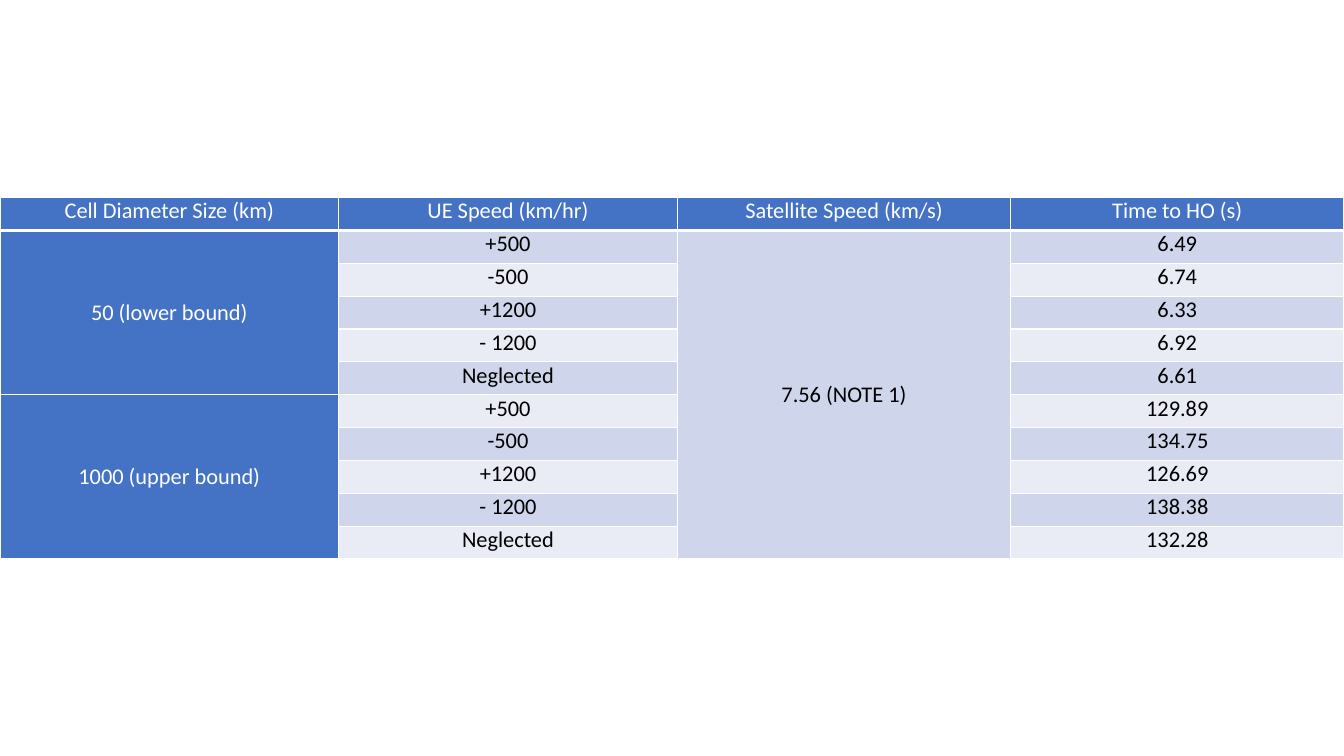
from lxml.etree import SubElement
from pptx import Presentation
from pptx.dml.color import RGBColor
from pptx.enum.text import MSO_ANCHOR, PP_ALIGN
from pptx.oxml.ns import qn
from pptx.util import Inches, Pt

WHITE = RGBColor(0xFF, 0xFF, 0xFF)
BLACK = RGBColor(0, 0, 0)
BLUE = RGBColor(0x44, 0x72, 0xC4)
BAND_DARK = RGBColor(0xCF, 0xD5, 0xEA)
BAND_LIGHT = RGBColor(0xE9, 0xEB, 0xF5)

HEADERS = ["Cell Diameter Size (km)", "UE Speed (km/hr)", "Satellite Speed (km/s)", "Time to HO (s)"]
UE_SPEEDS = ["+500", "-500", "+1200", "- 1200", "Neglected"]
HANDOVER_TIMES = {
    "50 (lower bound)": ["6.49", "6.74", "6.33", "6.92", "6.61"],
    "1000 (upper bound)": ["129.89", "134.75", "126.69", "138.38", "132.28"],
}
SATELLITE_SPEED = "7.56 (NOTE 1)"
COLUMN_SHARES = [0.252, 0.252, 0.248, 0.248]


def write_text(cell, text, color=BLACK, size=16, font="Calibri", anchor=MSO_ANCHOR.TOP, inset=(0.14, 0)):
    """Write centred text into a cell with the given format."""
    cell.margin_left = cell.margin_right = Inches(inset[0])
    cell.margin_top = cell.margin_bottom = Inches(inset[1])
    cell.vertical_anchor = anchor
    paragraph = cell.text_frame.paragraphs[0]
    paragraph.alignment = PP_ALIGN.CENTER
    run = paragraph.add_run()
    run.text = text
    run.font.name = font
    run.font.size = Pt(size)
    run.font.bold = False
    run.font.color.rgb = color


def style_cell(cell, fill, bottom_width=1):
    """Give a cell white borders and a solid fill."""
    properties = cell._tc.get_or_add_tcPr()
    for side, width in (("L", 1), ("R", 1), ("T", 1), ("B", bottom_width)):
        line = SubElement(properties, qn(f"a:ln{side}"), w=str(Pt(width)))
        SubElement(SubElement(line, qn("a:solidFill")), qn("a:srgbClr"), val=str(WHITE))
    cell.fill.solid()
    cell.fill.fore_color.rgb = fill


def merge_down(table, row, column, count, text, color):
    """Merge cells downwards and label the merged cell in its middle."""
    cell = table.cell(row, column)
    cell.merge(table.cell(row + count - 1, column))
    write_text(cell, text, color=color, anchor=MSO_ANCHOR.MIDDLE, inset=(0.19, 0.1))


def add_handover_table(slide, left, top, width, height):
    """Place the handover time table in the given box."""
    group_size = len(UE_SPEEDS)
    body_rows = group_size * len(HANDOVER_TIMES)
    table = slide.shapes.add_table(body_rows + 1, len(HEADERS), left, top, width, height).table
    for column, share in zip(table.columns, COLUMN_SHARES):
        column.width = int(width * share)
    for row in table.rows:
        row.height = int(height / (body_rows + 1))

    for column, header in enumerate(HEADERS):
        style_cell(table.cell(0, column), BLUE, bottom_width=3)
        write_text(table.cell(0, column), header, color=WHITE)
    for row in range(1, body_rows + 1):
        band = BAND_DARK if row % 2 else BAND_LIGHT
        for column, fill in enumerate([BLUE, band, BAND_DARK, band]):
            style_cell(table.cell(row, column), fill)

    for group, (diameter, times) in enumerate(HANDOVER_TIMES.items()):
        first_row = 1 + group * group_size
        merge_down(table, first_row, 0, group_size, diameter, WHITE)
        for row, (speed, time) in enumerate(zip(UE_SPEEDS, times), first_row):
            write_text(table.cell(row, 1), speed)
            write_text(table.cell(row, 3), time)
    merge_down(table, 1, 2, body_rows, SATELLITE_SPEED, BLACK)


def main():
    """Build and save the presentation."""
    presentation = Presentation()
    presentation.slide_width = Inches(13.33)
    presentation.slide_height = Inches(7.5)
    slide = presentation.slides.add_slide(presentation.slide_layouts[6])
    add_handover_table(slide, 0, Inches(1.96), presentation.slide_width, Inches(3.59))
    presentation.save("out.pptx")


if __name__ == "__main__":
    main()
